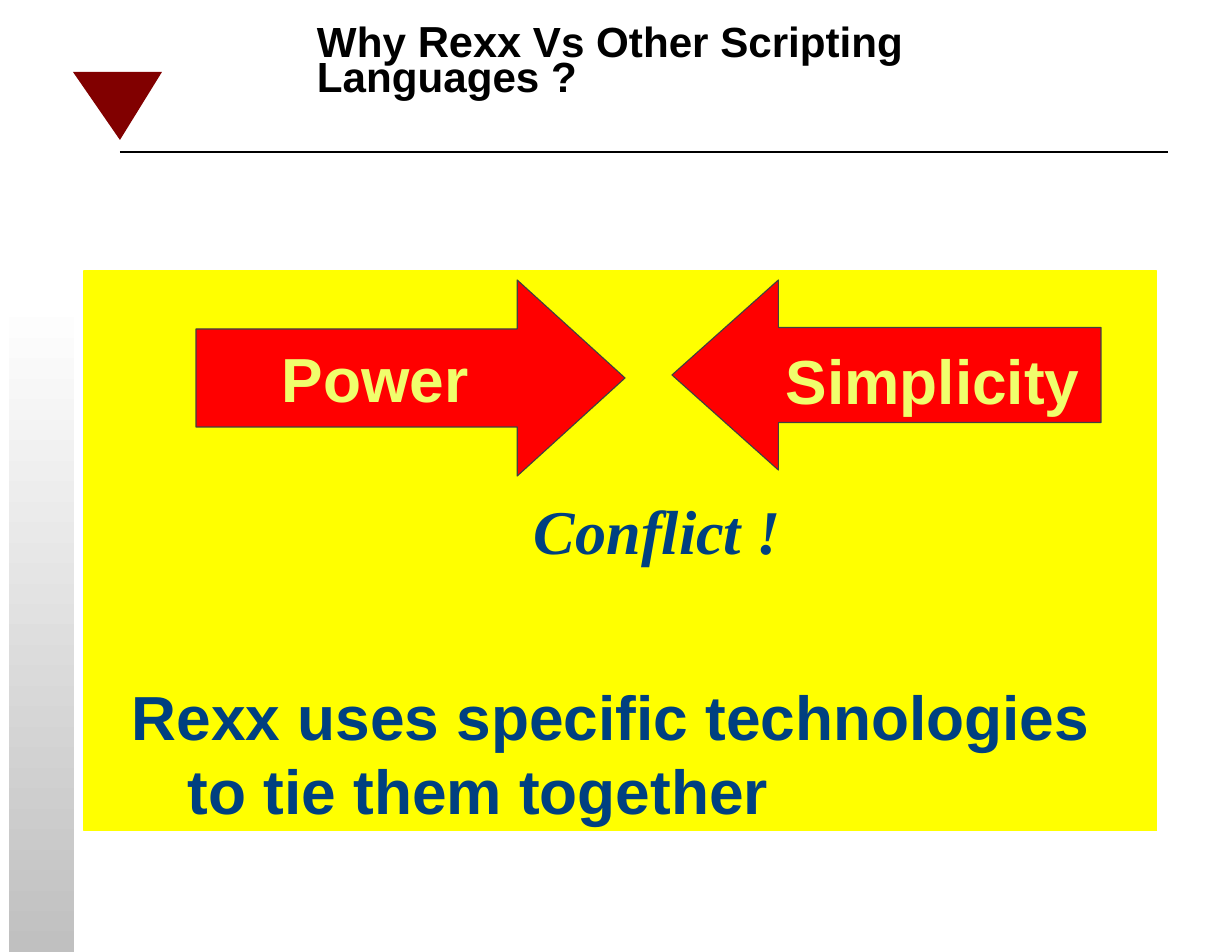
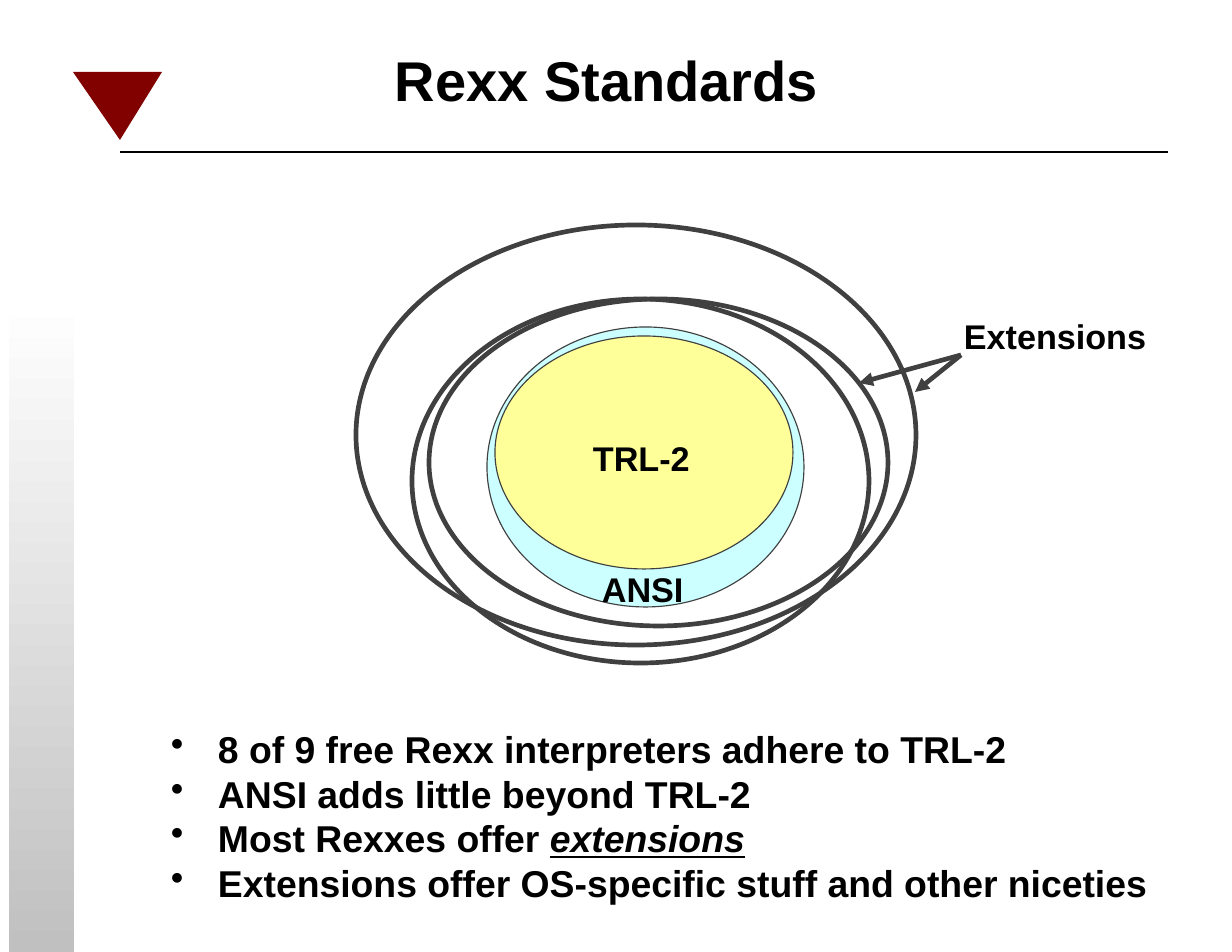
from lxml import etree
from pptx import Presentation
from pptx.dml.color import RGBColor
from pptx.enum.shapes import MSO_CONNECTOR, MSO_SHAPE
from pptx.enum.text import MSO_ANCHOR, MSO_AUTO_SIZE, PP_ALIGN
from pptx.oxml.ns import qn
from pptx.util import Emu, Pt

RECT, OVAL = MSO_SHAPE.RECTANGLE, MSO_SHAPE.OVAL
RIGHT, LEFT = MSO_SHAPE.RIGHT_ARROW, MSO_SHAPE.LEFT_ARROW
STRAIGHT = MSO_CONNECTOR.STRAIGHT

PX = 914400 / 112
BLACK, GREY, MAROON = "000000", "404040", "810000"
YELLOW, RED, NAVY, LEMON = "FFFF00", "FF0000", "004080", "F0FE6C"
SANS, SERIF = "Arial", "Times New Roman"

TRIANGLE = [(73, 72), (120, 140), (162, 72)]
BAND = (9, 297, 65, 655)
RULE = ((120, 152), (1168, 152))

# A run is (text, overrides of the paragraph's font)
WHY_TITLE = [("Why ", {}), ("Rexx", {"size": 27.9}),
             (" Vs Other Scripting Languages ?", {})]
PANEL = (84, 271, 1073, 560)
# preset, box, head length
ARROWS = [(RIGHT, (196, 280, 429, 196), 0.55),
          (LEFT, (672, 280, 429, 190), 0.56)]
# text, box, font
WHY_LABELS = [
    ("Power", (271, 334, 208, 86), {"color": LEMON}),
    ("Simplicity", (775, 336, 316, 86), {"color": LEMON}),
    ("Conflict !", (523, 486, 269, 86),
     {"color": NAVY, "name": SERIF, "italic": True}),
]
CONCLUSION = "Rexx uses specific technologies to tie them together"

# box, fill, line width
STANDARDS = [((487, 327, 317, 280), "CCFFFF", 0.75),
             ((495, 336, 298, 233), "FFFF99", 0.75)]
EXTENSIONS = [((356, 225, 560, 420), None, 3),
              ((429, 299, 459, 327), None, 3),
              ((412, 299, 457, 364), None, 3)]
STANDARD_LABELS = [("TRL-2", (581, 430, 122, 54)),
                   ("ANSI", (590, 561, 106, 54)),
                   ("Extensions", (952, 308, 207, 54))]
POINTER_START = (961, 355)
POINTER_ENDS = [(915, 392), (859, 383)]
BULLETS = [
    [("8 of 9 free Rexx interpreters adhere to TRL-2", {})],
    [("ANSI adds little beyond TRL-2", {})],
    [("Most Rexxes offer ", {}),
     ("extensions", {"italic": True, "underline": True})],
    [("Extensions offer OS-specific stuff and other niceties", {})],
]


def px(n):
    return Emu(round(n * PX))


def rgb(color):
    return RGBColor.from_string(color)


def place(sp, box):
    sp.left, sp.top, sp.width, sp.height = map(px, box)


def set_frame(tf, inset_x, inset_y, wrap):
    tf.margin_left = tf.margin_right = px(inset_x)
    tf.margin_top = tf.margin_bottom = px(inset_y)
    tf.word_wrap = wrap
    tf.auto_size = MSO_AUTO_SIZE.NONE
    tf.vertical_anchor = MSO_ANCHOR.TOP


def set_runs(p, runs, size, color=BLACK, name=SANS, **style):
    p.alignment = PP_ALIGN.LEFT
    for text, extra in runs:
        r = p.add_run()
        r.text = text
        font = {"size": size, "name": name, "bold": True, **style, **extra}
        font["size"] = Pt(font["size"])
        for key, value in font.items():
            setattr(r.font, key, value)
        r.font.color.rgb = rgb(color)


def hang(p, indent, bullet=None):
    """Give a paragraph a hanging indent and, if wanted, a bullet."""
    pPr = p._p.get_or_add_pPr()
    pPr.set("marL", str(px(indent)))
    pPr.set("indent", str(-px(indent)))
    if bullet:
        etree.SubElement(pPr, qn("a:buChar")).set("char", bullet)


def add_text(slide, box, inset=(11, 6), wrap=False):
    sp = slide.shapes.add_textbox(*map(px, box))
    set_frame(sp.text_frame, *inset, wrap)
    return sp.text_frame


def add_shape(slide, preset, box, fill, line, width=0.75):
    sp = slide.shapes.add_shape(preset, *map(px, box))
    sp.shadow.inherit = False
    if fill:
        sp.fill.solid()
        sp.fill.fore_color.rgb = rgb(fill)
    else:
        sp.fill.background()
    sp.line.color.rgb = rgb(line)
    sp.line.width = Pt(width)
    return sp


def add_line(slide, start, end, color, width, arrow=False):
    cx = slide.shapes.add_connector(STRAIGHT, *map(px, start + end))
    cx.line.color.rgb = rgb(color)
    cx.line.width = Pt(width)
    if arrow:
        ln = cx.line._get_or_add_ln()
        etree.SubElement(ln, qn("a:tailEnd")).set("type", "triangle")
    etree.SubElement(cx._element.spPr, qn("a:effectLst"))


def add_slide(prs, title, box, size, inset, wrap):
    """Add a slide with the shared decoration and a formatted title."""
    slide = prs.slides.add_slide(prs.slide_layouts[5])
    fb = slide.shapes.build_freeform(*TRIANGLE[0], scale=PX)
    fb.add_line_segments(TRIANGLE[1:], close=True)
    sp = fb.convert_to_shape()
    sp.shadow.inherit = False
    sp.fill.solid()
    sp.fill.fore_color.rgb = rgb(MAROON)
    sp.line.fill.background()

    band = add_shape(slide, RECT, BAND, None, BLACK)
    band.line.fill.background()
    band.fill.gradient()
    band.fill.gradient_angle = 90
    for stop, color, pos in zip(band.fill.gradient_stops,
                                ("C0C0C0", "FFFFFF"), (0, 1)):
        stop.color.rgb = rgb(color)
        stop.position = pos
    add_line(slide, *RULE, BLACK, 1.5)

    sp = slide.shapes.title
    place(sp, box)
    set_frame(sp.text_frame, *inset, wrap)
    set_runs(sp.text_frame.paragraphs[0], title, size)
    return slide


def build_why(prs):
    slide = add_slide(prs, WHY_TITLE, (317, 28, 709, 75), 27.1, (0, 0), True)
    slide.shapes.title.text_frame.paragraphs[0].line_spacing = 0.7
    add_shape(slide, RECT, PANEL, YELLOW, YELLOW)
    p = add_text(slide, (121, 672, 1017, 161), wrap=True).paragraphs[0]
    hang(p, 56)
    set_runs(p, [(CONCLUSION, {})], 40, NAVY)
    for preset, box, head in ARROWS:
        sp = add_shape(slide, preset, box, RED, GREY)
        sp.adjustments[1] = head
    for text, box, font in WHY_LABELS:
        set_runs(add_text(slide, box).paragraphs[0], [(text, {})], 40, **font)


def build_standards(prs):
    slide = add_slide(prs, [("Rexx Standards", {})], (383, 39, 448, 80), 36,
                      (12, 7), False)
    for box, fill, width in STANDARDS + EXTENSIONS:
        add_shape(slide, OVAL, box, fill, GREY, width)
    for text, box in STANDARD_LABELS:
        tf = add_text(slide, box, (12, 7))
        set_runs(tf.paragraphs[0], [(text, {})], 22)
    for end in POINTER_ENDS:
        add_line(slide, POINTER_START, end, GREY, 3, arrow=True)
    tf = add_text(slide, (159, 719, 1017, 192), (12, 7), True)
    for i, runs in enumerate(BULLETS):
        p = tf.add_paragraph() if i else tf.paragraphs[0]
        hang(p, 47, "•")
        set_runs(p, runs, 24)


def main():
    prs = Presentation()
    prs.slide_width, prs.slide_height = px(1232), px(952)
    build_why(prs)
    build_standards(prs)
    prs.save("out.pptx")


if __name__ == "__main__":
    main()
